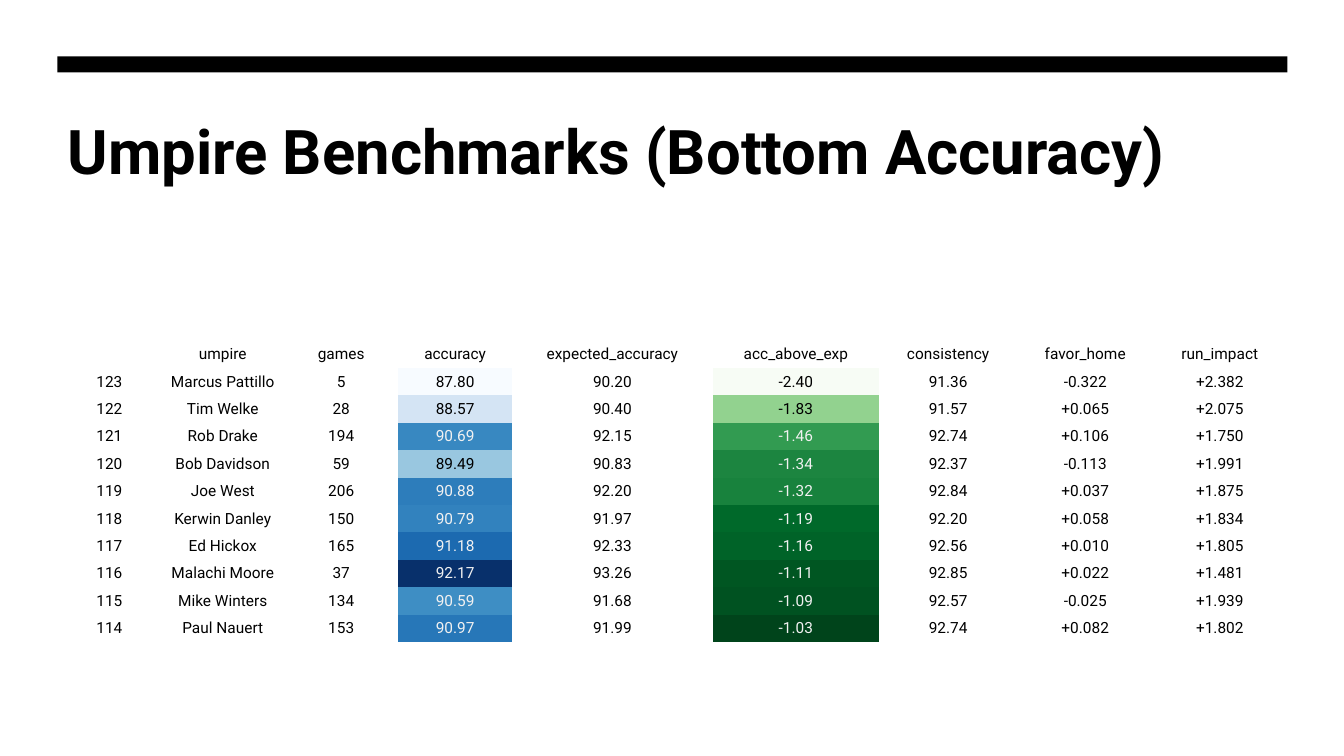
import pptx
import pptx.dml.color
import pptx.enum.shapes
import pptx.enum.text
import pptx.oxml.ns
import pptx.util
from pptx.dml.color import RGBColor
from pptx.util import Inches

BLACK = RGBColor(0x00, 0x00, 0x00)
WHITE = RGBColor(0xFF, 0xFF, 0xFF)
LIGHT_TEXT = RGBColor(0xF1, 0xF1, 0xF1)
ACCURACY_BLUES = [
    RGBColor(0xF7, 0xFB, 0xFF), RGBColor(0xD4, 0xE4, 0xF4),
    RGBColor(0x38, 0x88, 0xC1), RGBColor(0x99, 0xC7, 0xE0),
    RGBColor(0x2D, 0x7D, 0xBB), RGBColor(0x32, 0x82, 0xBE),
    RGBColor(0x1C, 0x6A, 0xB0), RGBColor(0x08, 0x30, 0x6B),
    RGBColor(0x3E, 0x8E, 0xC4), RGBColor(0x27, 0x77, 0xB8),
]
ABOVE_EXPECTED_GREENS = [
    RGBColor(0xF7, 0xFC, 0xF5), RGBColor(0x92, 0xD2, 0x8F),
    RGBColor(0x32, 0x9B, 0x51), RGBColor(0x1C, 0x85, 0x40),
    RGBColor(0x18, 0x82, 0x3D), RGBColor(0x00, 0x69, 0x2A),
    RGBColor(0x00, 0x63, 0x28), RGBColor(0x00, 0x56, 0x22),
    RGBColor(0x00, 0x52, 0x21), RGBColor(0x00, 0x44, 0x1B),
]
SHADED_COLUMNS = {3: ACCURACY_BLUES, 5: ABOVE_EXPECTED_GREENS}
DARK_FILL_LIMIT = 0x90  # fills with less red than this take light text
NO_STYLE_NO_GRID = "{2D5ABB26-0587-4C30-8999-92F81FD0307C}"

FONT = "Roboto"
LEFT = Inches(0.57)
WIDTH = Inches(12.2)
TABLE_HEIGHT = Inches(2.99)
COLUMN_WIDTHS = [1.03, 1.22, 1.13, 1.13, 1.99, 1.65, 1.37, 1.35, 1.32]
ROWS = [
    ["", "umpire", "games", "accuracy", "expected_accuracy", "acc_above_exp",
     "consistency", "favor_home", "run_impact"],
    ["123", "Marcus Pattillo", "5", "87.80", "90.20", "-2.40", "91.36", "-0.322", "+2.382"],
    ["122", "Tim Welke", "28", "88.57", "90.40", "-1.83", "91.57", "+0.065", "+2.075"],
    ["121", "Rob Drake", "194", "90.69", "92.15", "-1.46", "92.74", "+0.106", "+1.750"],
    ["120", "Bob Davidson", "59", "89.49", "90.83", "-1.34", "92.37", "-0.113", "+1.991"],
    ["119", "Joe West", "206", "90.88", "92.20", "-1.32", "92.84", "+0.037", "+1.875"],
    ["118", "Kerwin Danley", "150", "90.79", "91.97", "-1.19", "92.20", "+0.058", "+1.834"],
    ["117", "Ed Hickox", "165", "91.18", "92.33", "-1.16", "92.56", "+0.010", "+1.805"],
    ["116", "Malachi Moore", "37", "92.17", "93.26", "-1.11", "92.85", "+0.022", "+1.481"],
    ["115", "Mike Winters", "134", "90.59", "91.68", "-1.09", "92.57", "-0.025", "+1.939"],
    ["114", "Paul Nauert", "153", "90.97", "91.99", "-1.03", "92.74", "+0.082", "+1.802"],
]

presentation = pptx.Presentation()
presentation.slide_width = Inches(13.33)
presentation.slide_height = Inches(7.5)
slide = presentation.slides.add_slide(presentation.slide_layouts[5])
slide.background.fill.solid()
slide.background.fill.fore_color.rgb = WHITE

# Title
title = slide.shapes.title
title.left, title.top, title.width, title.height = LEFT, Inches(1.07), WIDTH, Inches(1.6)
title.text_frame.text = "Umpire Benchmarks (Bottom Accuracy)"
title.text_frame.vertical_anchor = pptx.enum.text.MSO_ANCHOR.TOP
paragraph = title.text_frame.paragraphs[0]
paragraph.alignment = pptx.enum.text.PP_ALIGN.LEFT
paragraph.font.name = FONT
paragraph.font.size = pptx.util.Pt(44)
paragraph.font.bold = True
paragraph.font.color.rgb = BLACK

# Bar above the title
bar = slide.shapes.add_shape(
    pptx.enum.shapes.MSO_SHAPE.RECTANGLE, LEFT, Inches(0.56), WIDTH, Inches(0.16))
bar.shadow.inherit = False
bar.fill.solid()
bar.fill.fore_color.rgb = BLACK
bar.line.fill.background()

# Benchmark table
frame = slide.shapes.add_table(
    len(ROWS), len(COLUMN_WIDTHS), LEFT, Inches(3.38), WIDTH, TABLE_HEIGHT)
table = frame.table
table.first_row = False
table.horz_banding = False
style = frame._element.find(".//" + pptx.oxml.ns.qn("a:tableStyleId"))
style.text = NO_STYLE_NO_GRID
for column, width in zip(table.columns, COLUMN_WIDTHS):
    column.width = Inches(width)

for row_index, values in enumerate(ROWS):
    table.rows[row_index].height = TABLE_HEIGHT // len(ROWS)
    for column_index, value in enumerate(values):
        cell = table.cell(row_index, column_index)
        cell.text = value
        cell.vertical_anchor = pptx.enum.text.MSO_ANCHOR.MIDDLE
        cell.margin_left = cell.margin_right = Inches(0.05)
        cell.margin_top = cell.margin_bottom = Inches(0.03)
        text_color = BLACK
        if row_index > 0 and column_index in SHADED_COLUMNS:
            fill_color = SHADED_COLUMNS[column_index][row_index - 1]
            cell.fill.solid()
            cell.fill.fore_color.rgb = fill_color
            if fill_color[0] < DARK_FILL_LIMIT:
                text_color = LIGHT_TEXT
        else:
            cell.fill.background()
        paragraph = cell.text_frame.paragraphs[0]
        paragraph.alignment = pptx.enum.text.PP_ALIGN.CENTER
        paragraph.font.name = FONT
        paragraph.font.size = pptx.util.Pt(11)
        paragraph.font.color.rgb = text_color

presentation.save("out.pptx")
